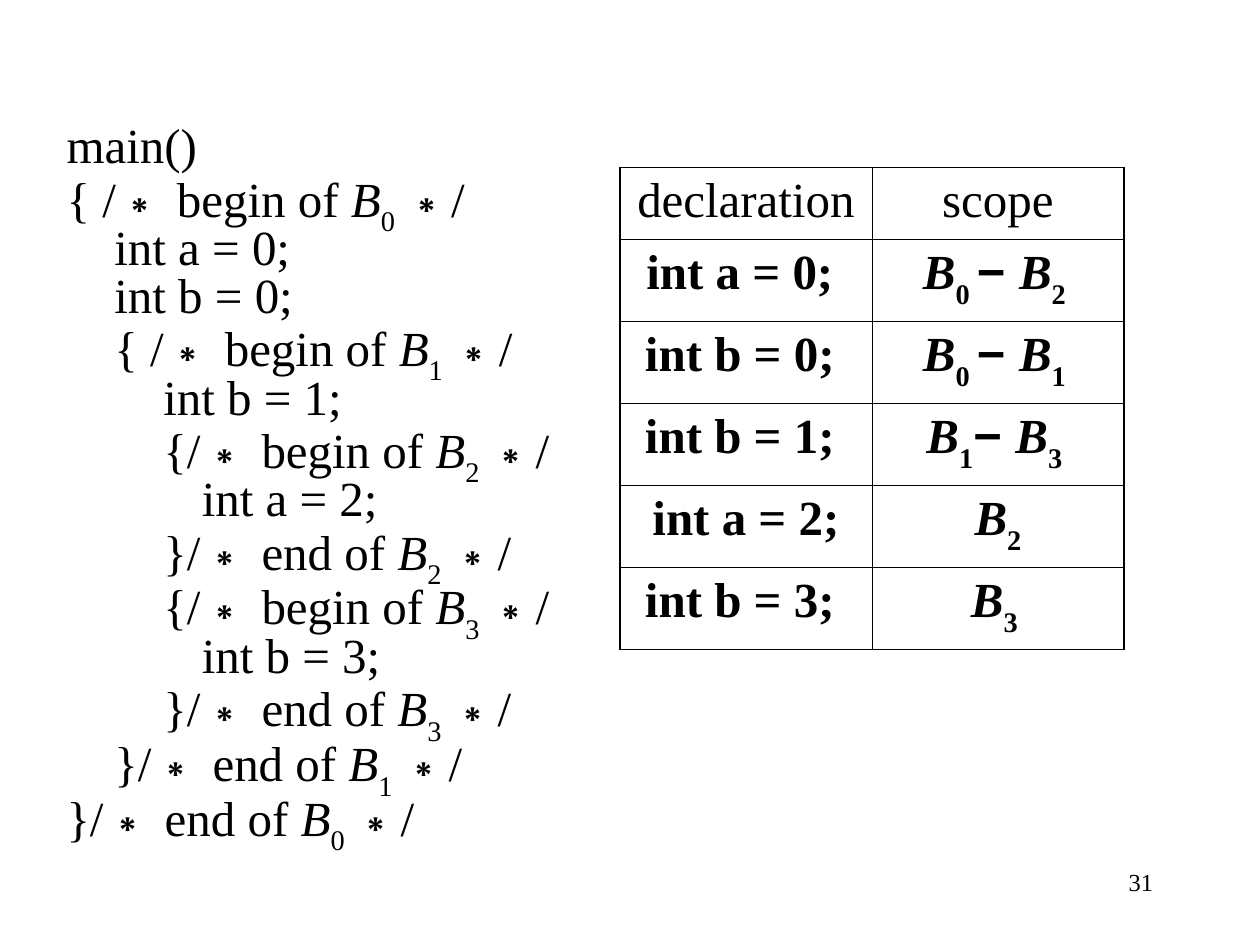
from dataclasses import dataclass

from pptx import Presentation
from pptx.dml.color import RGBColor
from pptx.enum.text import PP_ALIGN as Align
from pptx.oxml.ns import qn
from pptx.util import Inches, Pt
from lxml.etree import SubElement

COLORS = {"ink": "000000"}
SERIF, SYMBOL = "Times New Roman", "Arial"
OUTER, INNER = 1.08, 0.45
HANGING = Inches(0.38)


@dataclass
class Scope:
    declaration: str
    blocks: str
    bold: bool = True


def block_comment(brace: str, verb: str, block: int) -> str:
    return f"{brace}|∗| {verb} of |B|{block} |∗|/"


CODE = [
    "main()",
    block_comment("{ /", "begin", 0),
    "\tint a = 0;",
    "\tint b = 0;",
    block_comment("\t{ /", "begin", 1),
    "\t    int b = 1;",
    block_comment("\t    {/", "begin", 2),
    "\t\t  int a = 2;",
    block_comment("\t    }/", "end", 2),
    block_comment("\t    {/", "begin", 3),
    "\t\t  int b = 3;",
    block_comment("\t    }/", "end", 3),
    block_comment("\t}/", "end", 1),
    block_comment("}/", "end", 0),
]

SCOPES = [
    Scope("declaration", "scope", bold=False),
    Scope("int a = 0; ", "B|0 |− |B|2 "),
    Scope("int b = 0; ", "B|0 |− |B|1 "),
    Scope("int b = 1; ", "B|1|− |B|3 "),
    Scope("int a = 2;", "B|2"),
    Scope("int b = 3; ", "B|3 "),
]


def write(paragraph, text: str, *, size: float = 28, bold: bool = False,
          align: Align = Align.CENTER) -> None:
    paragraph.alignment = align
    previous = ""
    for part in text.split("|"):
        run = paragraph.add_run()
        run.text = part
        font = run.font
        font.name = SYMBOL if part.strip() in ("∗", "−") else SERIF
        font.size, font.bold, font.italic = Pt(size), bold, part == "B"
        font.color.rgb = RGBColor.from_string(COLORS["ink"])
        if previous == "B":
            font._element.set("baseline", "-30000")
        previous = part


def add_text_frame(slide, left: float, top: float, width: float, height: float):
    frame = slide.shapes.add_textbox(
        Inches(left), Inches(top), Inches(width), Inches(height)).text_frame
    frame.word_wrap = True
    return frame


def add_code(slide) -> None:
    frame = add_text_frame(slide, 0.43, 0.99, 9.33, 5.92)
    for index, line in enumerate(CODE):
        paragraph = frame.add_paragraph() if index else frame.paragraphs[0]
        properties = paragraph._p.get_or_add_pPr()
        properties.set("marL", str(HANGING))
        properties.set("indent", str(-HANGING))
        tabs = SubElement(properties, qn("a:tabLst"))
        for stop in range(8):
            SubElement(tabs, qn("a:tab"), pos=str(Inches(stop)), algn="l")
        paragraph.line_spacing = 0.7
        paragraph.space_before = Pt(3.5 if index else 0)
        write(paragraph, line, align=Align.JUSTIFY)


def set_borders(cell, **widths: float) -> None:
    properties = cell._tc.get_or_add_tcPr()
    for side, width in widths.items():
        border = SubElement(properties, qn(f"a:ln{side}"), w=str(Pt(width)))
        fill = SubElement(border, qn("a:solidFill"))
        SubElement(fill, qn("a:srgbClr"), val=COLORS["ink"])


def add_scope_table(slide) -> None:
    last = len(SCOPES) - 1
    table = slide.shapes.add_table(
        len(SCOPES), 2, Inches(4.92), Inches(1.33), Inches(4), Inches(3.82)).table
    table.first_row = table.horz_banding = False
    for row, scope in enumerate(SCOPES):
        table.rows[row].height = Inches(0.65 if row else 0.57)
        for column, text in enumerate((scope.declaration, scope.blocks)):
            cell = table.cell(row, column)
            set_borders(cell,
                        L=INNER if column else OUTER,
                        R=OUTER if column else INNER,
                        T=INNER if row else OUTER,
                        B=OUTER if row == last else INNER)
            cell.fill.background()
            write(cell.text_frame.paragraphs[0], text, bold=scope.bold)


def main() -> None:
    deck = Presentation()
    deck.slide_width, deck.slide_height = Inches(10), Inches(7.5)
    slide = deck.slides.add_slide(deck.slide_layouts[6])
    add_code(slide)
    add_scope_table(slide)
    page_number = add_text_frame(slide, 7.17, 6.83, 2.08, 0.5)
    write(page_number.paragraphs[0], "31", size=14, align=Align.RIGHT)
    deck.save("out.pptx")


if __name__ == "__main__":
    main()
